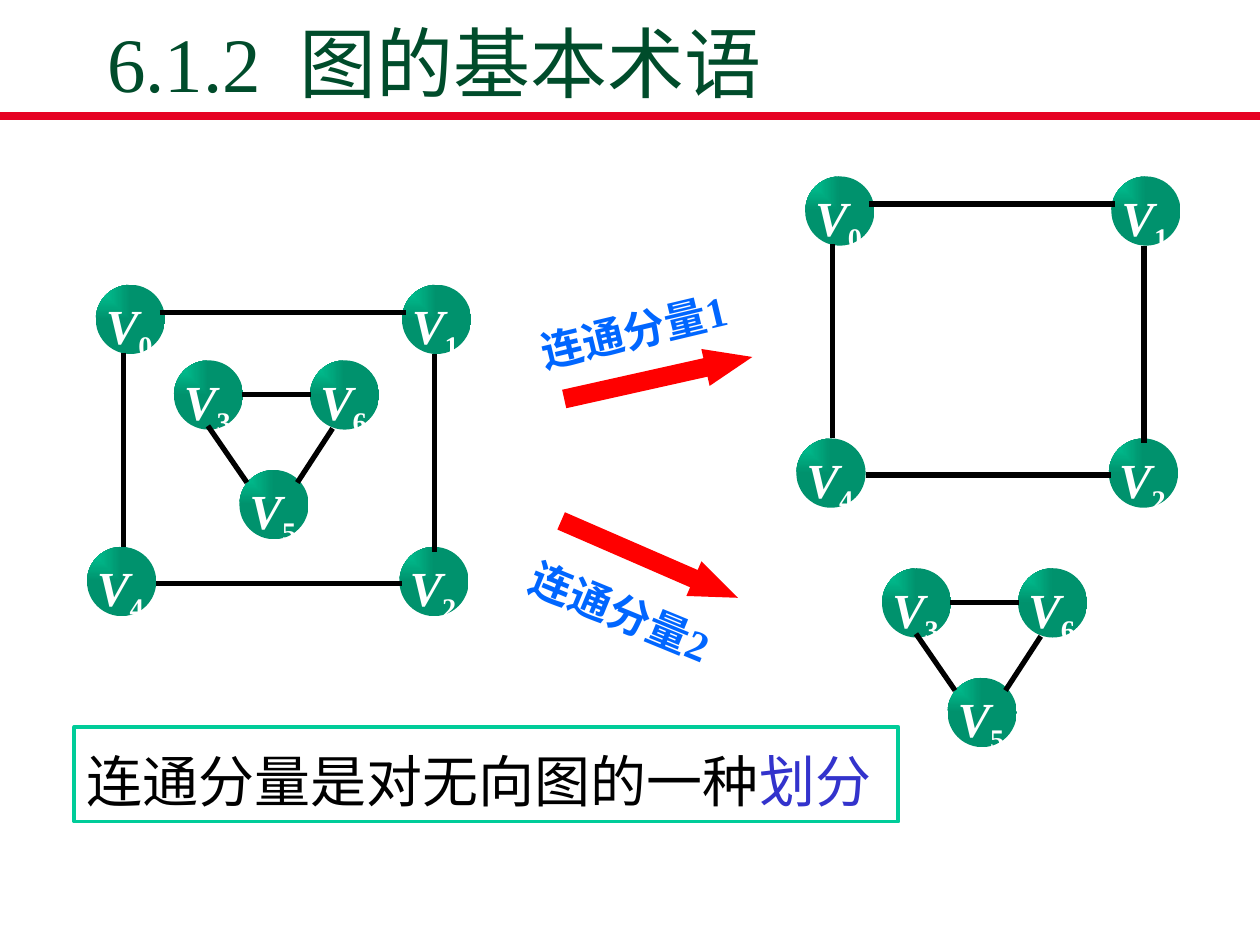
from pptx import Presentation
from pptx.dml.color import RGBColor
from pptx.enum.shapes import MSO_CONNECTOR as Link, MSO_SHAPE as Kind
from pptx.enum.text import MSO_ANCHOR as Anchor, MSO_AUTO_SIZE as Fit, PP_ALIGN as Align
from pptx.oxml.ns import qn
from pptx.util import Inches, Pt
from lxml.etree import SubElement as Sub

SERIF = "Times New Roman"
SQUARE = (
    {"0": (0.76, 2.26), "1": (3.19, 2.26), "4": (0.69, 4.34), "2": (3.17, 4.34)},
    [(1.27, 2.48, 3.22, 2.48), (3.45, 2.81, 3.45, 4.38),
     (0.98, 2.8, 0.98, 4.34), (1.24, 4.63, 3.19, 4.63)],
)
TRIO = (
    {"3": (1.38, 2.86), "6": (2.46, 2.86), "5": (1.9, 3.73)},
    [(1.92, 3.13, 2.47, 3.13), (1.65, 3.38, 1.96, 3.83), (2.64, 3.4, 2.36, 3.83)],
)


def color(code):
    return RGBColor.from_string(code)


class Deck:
    """Draws styled elements on the current slide."""

    def __init__(self):
        self.show = Presentation()
        self.show.slide_width, self.show.slide_height = Inches(10), Inches(7.5)
        self.slide = self.show.slides.add_slide(self.show.slide_layouts[5])
        self.shapes = self.slide.shapes

    def style(self, font, size, code, face=SERIF, bold=False, slant=False):
        font.name, font.size, font.bold, font.italic = face, Pt(size), bold, slant
        font.color.rgb = color(code)

    def title(self, text, *box):
        item = self.shapes.title
        item.left, item.top, item.width, item.height = map(Inches, box)
        frame = item.text_frame
        frame.vertical_anchor, frame.auto_size = Anchor.BOTTOM, Fit.NONE
        para = frame.paragraphs[0]
        para.text, para.alignment = text, Align.LEFT
        self.style(para.font, 44, "004C2B")

    def line(self, x1, y1, x2, y2, code="000000", width=3):
        item = self.shapes.add_connector(Link.STRAIGHT, *map(Inches, (x1, y1, x2, y2)))
        item.line.color.rgb, item.line.width = color(code), Pt(width)
        Sub(item._element.spPr, qn("a:effectLst"))

    def shape(self, kind, *box):
        item = self.shapes.add_shape(kind, *map(Inches, box))
        item.shadow.inherit = False
        return item

    def text(self, *box):
        item = self.shapes.add_textbox(*map(Inches, box))
        frame = item.text_frame
        frame.word_wrap = True
        para = frame.paragraphs[0]
        para.line_spacing = 1.2
        return item, frame, para

    def node(self, name, x, y):
        ball = self.shape(Kind.OVAL, x, y, 0.55, 0.55)
        ball.line.fill.background()
        ball.fill.gradient()
        for stop, code in zip(ball.fill.gradient_stops, ("00CC99", "00926D")):
            stop.color.rgb = color(code)
        grad = ball._element.spPr.find(qn("a:gradFill"))
        grad.remove(grad.find(qn("a:lin")))
        Sub(Sub(grad, qn("a:path"), path="rect"), qn("a:fillToRect"), r="100000", b="100000")

        _, frame, para = self.text(x + 0.07, y - 0.05, 0.51, 0.65)
        frame.margin_left = frame.margin_bottom = Inches(0.01)
        frame.margin_top, frame.margin_right = Inches(0.03), 0
        para.alignment = Align.JUSTIFY
        for part in "V", name:
            run = para.add_run()
            run.text = part
            self.style(run.font, 28, "FFFFFF", bold=True, slant=part == "V")
        run.font._element.set("baseline", "-25000")

    def graph(self, parts, dx=0, dy=0):
        nodes, edges = parts
        for name, (x, y) in nodes.items():
            self.node(name, x + dx, y + dy)
        for x1, y1, x2, y2 in edges:
            self.line(x1 + dx, y1 + dy, x2 + dx, y2 + dy)

    def label(self, text, turn, *box):
        item, frame, para = self.text(*box)
        item.rotation = turn
        frame.auto_size = Fit.SHAPE_TO_FIT_TEXT
        para.text, para.alignment = text, Align.JUSTIFY
        self.style(para.font, 24, "0066FF", bold=True)

    def arrow(self, turn, x, y):
        item = self.shape(Kind.RIGHT_ARROW, x, y, 1.53, 0.3)
        item.rotation = turn
        item.adjustments[0], item.adjustments[1] = 0.5, 1.27
        item.fill.solid()
        item.fill.fore_color.rgb = color("FF0000")
        item.line.fill.background()

    def note(self, parts, *box):
        item, frame, para = self.text(*box)
        item.line.color.rgb, item.line.width = color("00CC99"), Pt(2.25)
        frame.auto_size = Fit.SHAPE_TO_FIT_TEXT
        for text, code in parts:
            run = para.add_run()
            run.text = text
            self.style(run.font, 32, code, "Arial")


def main():
    deck = Deck()
    deck.line(0, 0.92, 10, 0.92, "E60223", 4.5)
    deck.title("6.1.2  图的基本术语", 0.75, 0.26, 8.5, 0.65)
    deck.graph(SQUARE)
    deck.graph(TRIO)
    deck.label("连通分量1", 346.6, 4.16, 2.25, 2.08, 0.5)
    deck.arrow(347.4, 4.46, 2.85)
    deck.graph(SQUARE, 5.63, -0.86)
    deck.label("连通分量2", 22.4, 4.09, 4.62, 2.17, 0.5)
    deck.arrow(23.5, 4.39, 4.29)
    deck.graph(TRIO, 5.62, 1.65)
    parts = [("连通分量是对无向图的一种", "000000"), ("划分", "3333CC")]
    deck.note(parts, 0.59, 5.77, 6.54, 0.75)
    deck.show.save("out.pptx")


if __name__ == "__main__":
    main()
